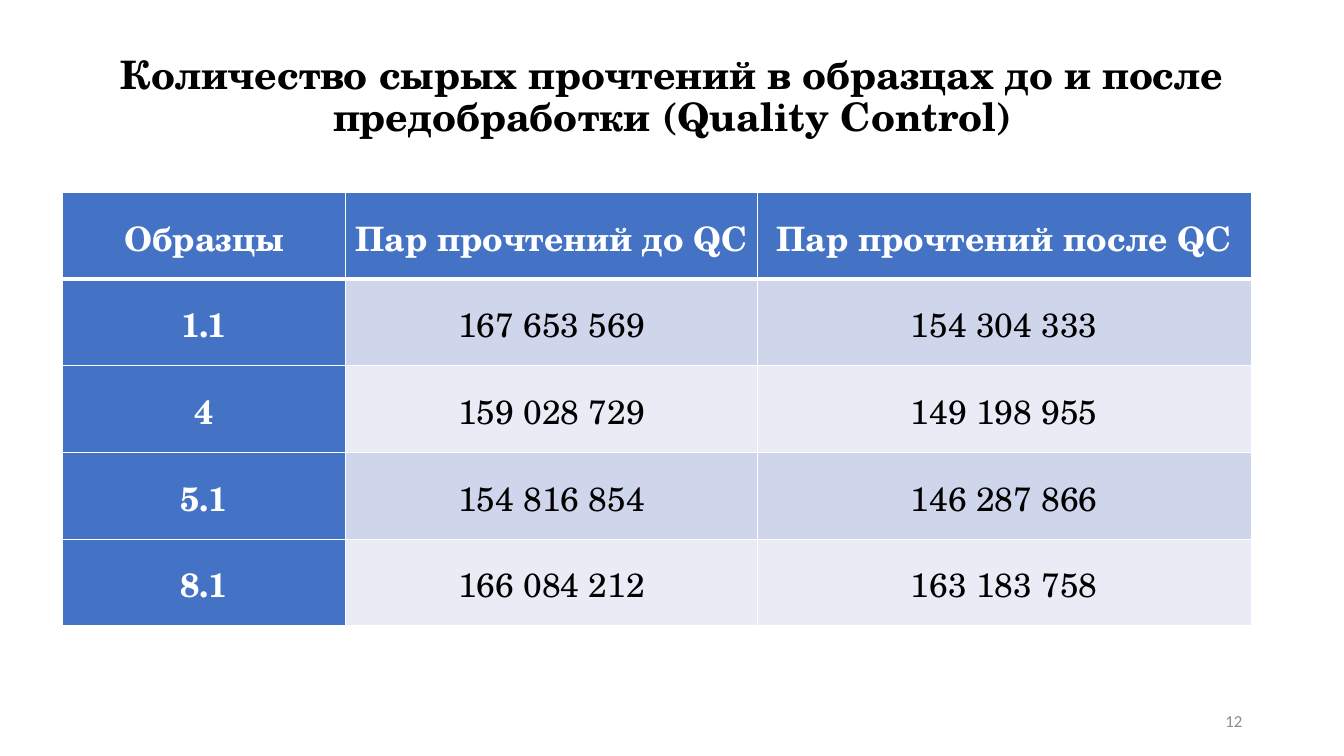
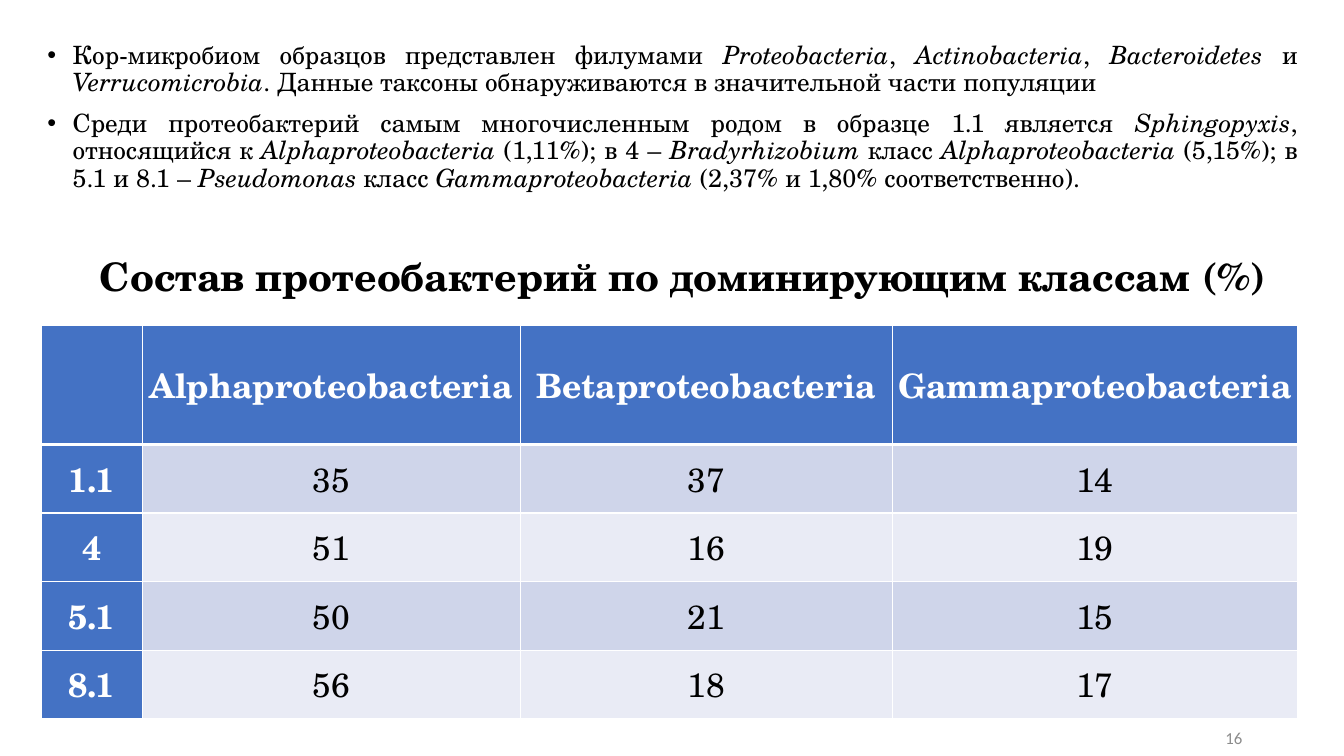
from dataclasses import dataclass

import pptx
import pptx.dml.color
import pptx.enum.text
import pptx.oxml
import pptx.oxml.ns
import pptx.util

PX = 9144
ALIGN = pptx.enum.text.PP_ALIGN
ANCHOR = pptx.enum.text.MSO_ANCHOR


@dataclass(frozen=True)
class Theme:
    serif: str = "TeX Gyre Schola"
    sans: str = "Calibri"
    title_size: int = 28
    table_size: int = 24
    body_size: int = 18
    page_size: int = 12
    ink: str = "000000"
    paper: str = "FFFFFF"
    accent: str = "4472C4"
    bands: tuple = ("CFD5EA", "E9EBF5")
    page: str = "8C8C8C"
    rule: int = 1
    header_rule: int = 3


THEME = Theme()


def px(n):
    return pptx.util.Emu(n * PX)


def rgb(color):
    return pptx.dml.color.RGBColor.from_string(color)


def add_xml(parent, tag, body="", **attrs):
    attr_text = "".join(f' {k}="{v}"' for k, v in attrs.items())
    ns = pptx.oxml.ns.nsdecls("a")
    parent.append(pptx.oxml.parse_xml(f"<a:{tag} {ns}{attr_text}>{body}</a:{tag}>"))


def style_run(r, size, color, font=THEME.serif, bold=False, italic=False):
    r.font.name = font
    r.font.size = pptx.util.Pt(size)
    r.font.color.rgb = rgb(color)
    r.font.bold = bold
    r.font.italic = italic


def place(sp, box, anchor):
    sp.left, sp.top, sp.width, sp.height = map(px, box)
    tf = sp.text_frame
    tf.word_wrap = True
    tf.auto_size = pptx.enum.text.MSO_AUTO_SIZE.NONE
    tf.vertical_anchor = anchor
    return tf


def set_title(s, box, text, align=ALIGN.CENTER, anchor=ANCHOR.MIDDLE, spacing=0.9):
    tf = place(s.shapes.title, box, anchor)
    tf.text = text
    p = tf.paragraphs[0]
    p.alignment = align
    p.line_spacing = spacing
    p.space_before = pptx.util.Pt(0)
    style_run(p.runs[0], THEME.title_size, THEME.ink, bold=True)


def set_bullets(s, box, items):
    tf = place(s.placeholders[1], box, ANCHOR.TOP)
    for i, item in enumerate(items):
        p = tf.paragraphs[0] if i == 0 else tf.add_paragraph()
        pPr = p._p.get_or_add_pPr()
        pPr.set("marL", str(25 * PX))
        pPr.set("indent", str(-25 * PX))
        add_xml(pPr, "buFont", typeface="Arial")
        add_xml(pPr, "buChar", char="•")
        p.alignment = ALIGN.JUSTIFY
        p.line_spacing = 0.9
        p.space_before = pptx.util.Pt(10 if i else 0)
        for j, part in enumerate(item.split("*")):
            r = p.add_run()
            r.text = part
            style_run(r, THEME.body_size, THEME.ink, italic=j % 2 == 1)


def add_page_number(s, number, top=700):
    box = (942, top, 300, 30)
    tf = place(s.shapes.add_textbox(0, 0, 0, 0), box, ANCHOR.MIDDLE)
    tf.text = str(number)
    p = tf.paragraphs[0]
    p.alignment = ALIGN.RIGHT
    style_run(p.runs[0], THEME.page_size, THEME.page, THEME.sans)


def set_cell(cell, text, row, col, spacing):
    heading = row == 0 or col == 0
    widths = {
        "lnL": THEME.rule,
        "lnR": THEME.rule,
        "lnT": THEME.header_rule if row == 1 else THEME.rule,
        "lnB": THEME.header_rule if row == 0 else THEME.rule,
    }
    line = f'<a:solidFill><a:srgbClr val="{THEME.paper}"/></a:solidFill>'
    for tag, width in widths.items():
        add_xml(cell._tc.get_or_add_tcPr(), tag, line, w=pptx.util.Pt(width))
    cell.fill.solid()
    cell.fill.fore_color.rgb = rgb(THEME.accent if heading else THEME.bands[(row - 1) % 2])
    cell.margin_left = cell.margin_right = px(4)
    cell.margin_top = cell.margin_bottom = px(4)
    cell.vertical_anchor = ANCHOR.MIDDLE
    if not text:
        return
    p = cell.text_frame.paragraphs[0]
    p.text = text
    p.alignment = ALIGN.CENTER
    p.line_spacing = spacing
    color = THEME.paper if heading else THEME.ink
    style_run(p.runs[0], THEME.table_size, color, bold=heading)


def add_data_table(s, left, top, col_widths, header_height, row_height, rows, spacing=1.0):
    heights = [header_height] + [row_height] * (len(rows) - 1)
    box = (left, top, sum(col_widths), sum(heights))
    table = s.shapes.add_table(len(rows), len(col_widths), *map(px, box)).table
    table.first_col = True
    for column, width in zip(table.columns, col_widths):
        column.width = px(width)
    for i, (row, height) in enumerate(zip(rows, heights)):
        table.rows[i].height = px(height)
        for j, text in enumerate(row):
            set_cell(table.cell(i, j), text, i, j, spacing)


def build_reads_slide(prs):
    s = prs.slides.add_slide(prs.slide_layouts[5])
    set_title(
        s,
        (92, 40, 1150, 114),
        "Количество сырых прочтений в образцах до и после предобработки (Quality Control)",
    )
    rows = [
        ("Образцы", "Пар прочтений до QC", "Пар прочтений после QC"),
        ("1.1", "167 653 569", "154 304 333"),
        ("4", "159 028 729", "149 198 955"),
        ("5.1", "154 816 854", "146 287 866"),
        ("8.1", "166 084 212", "163 183 758"),
    ]
    add_data_table(s, 62, 191, (281, 408, 490), 86, 86, rows, spacing=1.07)
    add_page_number(s, 12)


def build_classes_slide(prs):
    s = prs.slides.add_slide(prs.slide_layouts[1])
    set_bullets(s, (37, 37, 1260, 208), [
        "Кор-микробиом образцов представлен филумами *Proteobacteria*, *Actinobacteria*, "
        "*Bacteroidetes *и *Verrucomicrobia*. Данные таксоны обнаруживаются "
        "в значительной части популяции",
        "Среди протеобактерий самым многочисленным родом в образце 1.1 является "
        "*Sphingopyxis*, относящийся к *Alphaproteobacteria* (1,11%); в 4 – "
        "*Bradyrhizobium* класс *Alphaproteobacteria* (5,15%); в 5.1 и 8.1 – "
        "*Pseudomonas* класс *Gammaproteobacteria* (2,37% и 1,80% соответственно).",
    ])
    set_title(
        s,
        (89, 245, 1208, 57),
        "Состав протеобактерий по доминирующим классам (%)",
        ALIGN.LEFT,
        ANCHOR.TOP,
        1.0,
    )
    rows = [
        ("", "Alphaproteobacteria", "Betaproteobacteria", "Gammaproteobacteria"),
        ("1.1", "35", "37", "14"),
        ("4", "51", "16", "19"),
        ("5.1", "50", "21", "15"),
        ("8.1", "56", "18", "17"),
    ]
    add_data_table(s, 41, 323, (100, 375, 369, 402), 118, 68, rows)
    add_page_number(s, 16, top=717)


def main():
    prs = pptx.Presentation()
    prs.slide_width, prs.slide_height = px(1333), px(750)
    build_reads_slide(prs)
    build_classes_slide(prs)
    prs.save("out.pptx")


if __name__ == "__main__":
    main()
